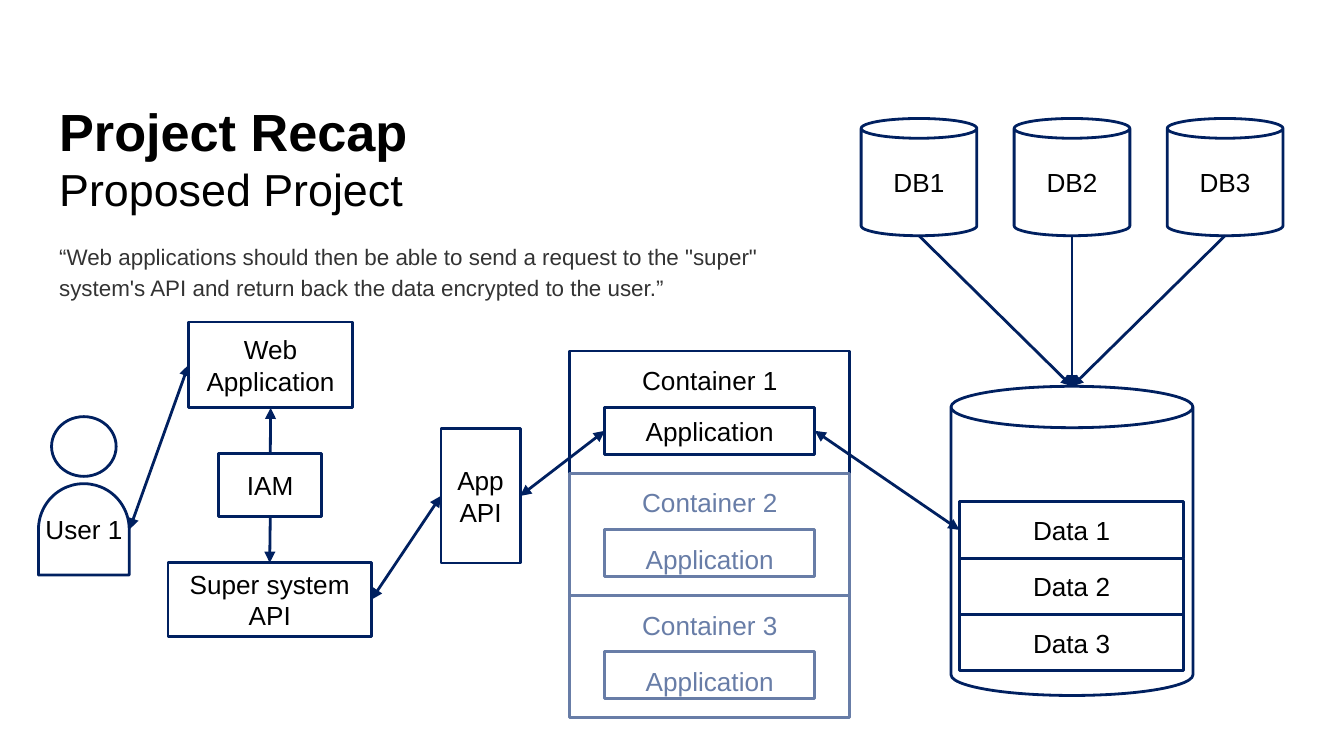
"""Build the proposed project architecture slide."""
from dataclasses import dataclass

from lxml import etree as et
from pptx import Presentation
from pptx.dml.color import RGBColor
from pptx.enum import shapes, text
from pptx.oxml import ns
from pptx.util import Pt

NAVY = RGBColor(0x00, 0x20, 0x60)
MUTED = RGBColor(0x68, 0x7D, 0xA7)
BLACK = RGBColor(0x00, 0x00, 0x00)
GREY = RGBColor(0x33, 0x33, 0x33)
WHITE = RGBColor(0xFF, 0xFF, 0xFF)
KIND = shapes.MSO_SHAPE
ANCHOR = text.MSO_ANCHOR
ALIGN = text.PP_ALIGN

Point = tuple[float, float]


@dataclass(frozen=True)
class Node:
    x: float
    y: float
    w: float
    h: float
    label: str = ""
    kind: int = KIND.RECTANGLE
    line: RGBColor = NAVY
    color: RGBColor = BLACK
    anchor: int = ANCHOR.MIDDLE
    rotation: float = 0

    @property
    def top(self) -> Point:
        return self.x + self.w / 2, self.y

    @property
    def bottom(self) -> Point:
        return self.x + self.w / 2, self.y + self.h

    @property
    def left(self) -> Point:
        return self.x, self.y + self.h / 2

    @property
    def right(self) -> Point:
        return self.x + self.w, self.y + self.h / 2


def place(sp, x: float, y: float, w: float, h: float) -> None:
    sp.left, sp.top, sp.width, sp.height = Pt(x), Pt(y), Pt(w), Pt(h)


def format_frame(tf, anchor: int) -> None:
    tf.word_wrap = True
    tf.auto_size = text.MSO_AUTO_SIZE.NONE
    tf.vertical_anchor = anchor
    tf.margin_left = tf.margin_right = tf.margin_top = tf.margin_bottom = Pt(7.2)


def format_run(r, size: float, color: RGBColor, bold: bool = False) -> None:
    r.font.name = "Arial"
    r.font.size = Pt(size)
    r.font.bold = bold
    r.font.color.rgb = color


def write_label(tf, label: str, color: RGBColor, anchor: int) -> None:
    format_frame(tf, anchor)
    tf.text = label
    for p in tf.paragraphs:
        p.alignment = ALIGN.CENTER
        for r in p.runs:
            format_run(r, 14, color)


def draw_node(s, node: Node) -> None:
    sp = s.shapes.add_shape(node.kind, Pt(node.x), Pt(node.y), Pt(node.w), Pt(node.h))
    sp.shadow.inherit = False
    sp.rotation = node.rotation
    sp.fill.solid()
    sp.fill.fore_color.rgb = WHITE
    sp.line.color.rgb = node.line
    sp.line.width = Pt(1.5)
    if node.kind == KIND.CAN:
        sp.adjustments[0] = 0.171
    if node.label:
        write_label(sp.text_frame, node.label, node.color, node.anchor)


def draw_arrow(s, start: Point, end: Point, both: bool = True) -> None:
    line = s.shapes.add_connector(shapes.MSO_CONNECTOR.STRAIGHT, *map(Pt, start + end))
    line.line.color.rgb = NAVY
    line.line.width = Pt(1.5)
    ln = line.line._get_or_add_ln()
    for tag in ("a:headEnd", "a:tailEnd") if both else ("a:tailEnd",):
        et.SubElement(ln, ns.qn(tag), type="triangle")
    et.SubElement(line._element.spPr, ns.qn("a:effectLst"))


def write_heading(s) -> None:
    title, body = s.placeholders[0], s.placeholders[1]
    place(title, 24.5, 46, 671, 69)
    format_frame(title.text_frame, ANCHOR.TOP)
    p = title.text_frame.paragraphs[0]
    p.text = "Project Recap\vProposed Project"
    p.alignment = ALIGN.LEFT
    format_run(p.runs[0], 28, BLACK, True)
    format_run(p.runs[1], 24, BLACK)

    place(body, 24.5, 121, 430.5, 49.7)
    format_frame(body.text_frame, ANCHOR.TOP)
    p = body.text_frame.paragraphs[0]
    p.text = ("“Web applications should then be able to send a request to the \"super\" "
              "system's API and return back the data encrypted to the user.”")
    p.line_spacing = 1.15
    p.space_before = Pt(0)
    pPr = p._p.get_or_add_pPr()
    pPr.set("marL", "0")
    pPr.set("indent", "0")
    et.SubElement(pPr, ns.qn("a:buNone"))
    format_run(p.runs[0], 12, GREY)


def main() -> None:
    prs = Presentation()
    prs.slide_width, prs.slide_height = Pt(720), Pt(405)
    s = prs.slides.add_slide(prs.slide_layouts[1])
    write_heading(s)

    web = Node(101, 172.5, 88, 46, "Web Application")
    iam = Node(117.3, 243, 55, 33.7, "IAM")
    super_api = Node(90, 301.5, 109, 39.5, "Super system API")
    app_api = Node(236.2, 229.7, 42.5, 72, "App\nAPI")
    user_body = Node(20.4, 259.3, 49, 48.6, kind=KIND.FLOWCHART_DELAY, rotation=270)
    user_head = Node(27.6, 223.2, 34.6, 32)
    user_head = Node(user_head.x, user_head.y, user_head.w, user_head.h, kind=KIND.OVAL)
    store = Node(509.5, 207, 129.6, 165.6, kind=KIND.CAN)
    databases = [Node(461.3 + 82 * i, 63.5, 62, 62.8, f"DB{i + 1}", KIND.CAN)
                 for i in range(3)]
    data = [Node(514, 268.8 + 30.2 * i, 120.2, 30.2, f"Data {i + 1}") for i in range(3)]

    containers, applications = [], []
    for i in range(3):
        line, color, anchor = ((MUTED, MUTED, ANCHOR.TOP) if i
                               else (NAVY, BLACK, ANCHOR.MIDDLE))
        y = 188 + 65.5 * i
        containers.append(Node(305.3, y, 150, 65.5, f"Container {i + 1}", line=line,
                               color=color, anchor=ANCHOR.TOP))
        applications.append(Node(324, y + 30.2, 112.5, 25.2, "Application", line=line,
                                 color=color, anchor=anchor))

    for node in (web, iam, super_api, app_api, user_body, user_head, store,
                 *databases, *data, *containers, *applications):
        draw_node(s, node)
    user = s.shapes.add_textbox(Pt(11.5), Pt(267.8), Pt(67), Pt(33.8))
    write_label(user.text_frame, "User 1", BLACK, ANCHOR.TOP)

    for database in databases:
        draw_arrow(s, database.bottom, store.top, both=False)
    draw_arrow(s, iam.top, web.bottom, both=False)
    draw_arrow(s, iam.bottom, super_api.top, both=False)
    for start, end in ((user_body.right, web.left),
                       (super_api.right, app_api.left),
                       (app_api.right, applications[0].left),
                       (applications[0].right, data[0].left)):
        draw_arrow(s, start, end)
    prs.save("out.pptx")


if __name__ == "__main__":
    main()
